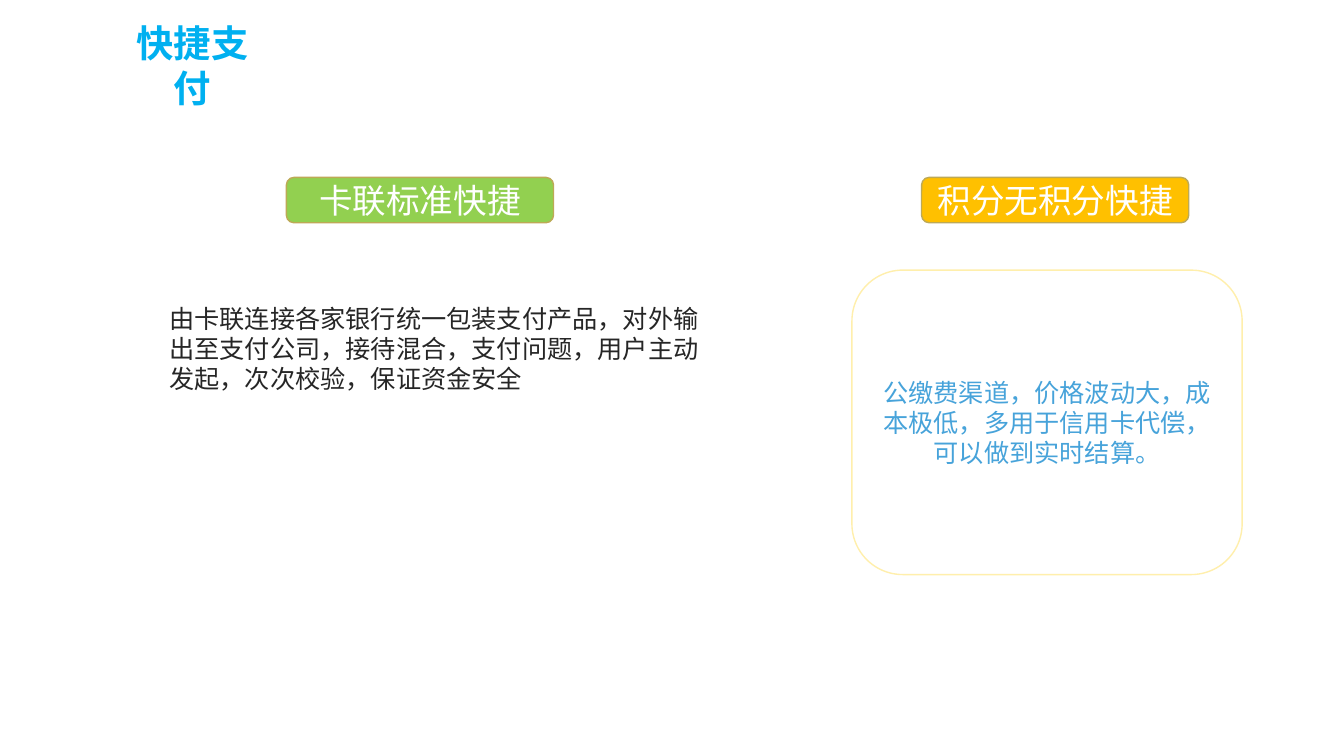
from dataclasses import dataclass

from pptx import Presentation
from pptx.dml.color import RGBColor
from pptx.enum.shapes import MSO_SHAPE
from pptx.enum.text import MSO_ANCHOR, MSO_AUTO_SIZE, PP_ALIGN
from pptx.slide import Slide
from pptx.text.text import TextFrame
from pptx.util import Inches, Pt


@dataclass(frozen=True)
class Theme:
    title_color: str = "00B0F0"
    badge_text: str = "FFFFFF"
    badge_line: str = "BDA956"
    standard_fill: str = "92D050"
    points_fill: str = "FFC000"
    card_fill: str = "FFFFFF"
    card_line: str = "FFEFAC"
    card_text: str = "47A3DA"
    body_text: str = "262626"
    heading_font: str = "Noto Sans CJK SC"
    body_font: str = "Arial"
    title_size: float = 26.7
    badge_size: float = 24
    body_size: float = 18
    line_width: float = 1


@dataclass(frozen=True)
class Area:
    """Left, top, width and height in inches."""
    left: float
    top: float
    width: float
    height: float

    def emu(self) -> tuple[int, int, int, int]:
        return (Inches(self.left), Inches(self.top),
                Inches(self.width), Inches(self.height))


@dataclass(frozen=True)
class TextStyle:
    font: str
    size: float
    color: str
    bold: bool = False
    align: PP_ALIGN = PP_ALIGN.CENTER


@dataclass(frozen=True)
class Panel:
    wording: str
    area: Area
    fill: str
    line: str
    style: TextStyle


THEME = Theme()
SLIDE_WIDTH, SLIDE_HEIGHT = 13.33, 7.5
BADGE_TOP, BADGE_WIDTH, BADGE_HEIGHT = 1.76, 2.65, 0.45
STANDARD_LEFT, POINTS_LEFT = 2.84, 9.14

TITLE_AREA = Area(1.35, 0.42, 1.48, 0.45)
TITLE_RIGHT_INSET = 0.36
TITLE_STYLE = TextStyle(THEME.heading_font, THEME.title_size, THEME.title_color, bold=True)
BADGE_STYLE = TextStyle(THEME.heading_font, THEME.badge_size, THEME.badge_text)
CARD_STYLE = TextStyle(THEME.body_font, THEME.body_size, THEME.card_text)
BODY_STYLE = TextStyle(THEME.body_font, THEME.body_size, THEME.body_text,
                       align=PP_ALIGN.LEFT)

PANELS = (
    Panel("卡联标准快捷", Area(STANDARD_LEFT, BADGE_TOP, BADGE_WIDTH, BADGE_HEIGHT),
          THEME.standard_fill, THEME.badge_line, BADGE_STYLE),
    Panel("积分无积分快捷", Area(POINTS_LEFT, BADGE_TOP, BADGE_WIDTH, BADGE_HEIGHT),
          THEME.points_fill, THEME.badge_line, BADGE_STYLE),
    Panel("公缴费渠道，价格波动大，成本极低，多用于信用卡代偿，可以做到实时结算。",
          Area(8.45, 2.68, 3.87, 3.02), THEME.card_fill, THEME.card_line, CARD_STYLE),
)
STANDARD_AREA = Area(1.58, 2.96, 5.66, 1.01)
STANDARD_WORDING = ("由卡联连接各家银行统一包装支付产品，对外输出至支付公司，"
                    "接待混合，支付问题，用户主动发起，次次校验，保证资金安全")


def write(frame: TextFrame, wording: str, style: TextStyle, anchor: MSO_ANCHOR) -> None:
    frame.word_wrap = True
    frame.vertical_anchor = anchor
    paragraph = frame.paragraphs[0]
    paragraph.alignment = style.align
    run = paragraph.add_run()
    run.text = wording
    run.font.name = style.font
    run.font.size = Pt(style.size)
    run.font.bold = style.bold
    run.font.color.rgb = RGBColor.from_string(style.color)


def add_title(slide: Slide) -> None:
    title = slide.shapes.title
    title.left, title.top, title.width, title.height = TITLE_AREA.emu()
    frame = title.text_frame
    frame.auto_size = MSO_AUTO_SIZE.NONE
    frame.margin_left = frame.margin_top = frame.margin_bottom = 0
    frame.margin_right = Inches(TITLE_RIGHT_INSET)
    write(frame, "快捷支付", TITLE_STYLE, MSO_ANCHOR.MIDDLE)


def add_panel(slide: Slide, panel: Panel) -> None:
    box = slide.shapes.add_shape(MSO_SHAPE.ROUNDED_RECTANGLE, *panel.area.emu())
    box.shadow.inherit = False
    box.fill.solid()
    box.fill.fore_color.rgb = RGBColor.from_string(panel.fill)
    box.line.color.rgb = RGBColor.from_string(panel.line)
    box.line.width = Pt(THEME.line_width)
    write(box.text_frame, panel.wording, panel.style, MSO_ANCHOR.MIDDLE)


def add_standard_description(slide: Slide) -> None:
    description = slide.shapes.add_textbox(*STANDARD_AREA.emu())
    write(description.text_frame, STANDARD_WORDING, BODY_STYLE, MSO_ANCHOR.TOP)


def main() -> None:
    presentation = Presentation()
    presentation.slide_width = Inches(SLIDE_WIDTH)
    presentation.slide_height = Inches(SLIDE_HEIGHT)
    title_only = presentation.slide_layouts[5]
    slide = presentation.slides.add_slide(title_only)
    add_title(slide)
    for panel in PANELS:
        add_panel(slide, panel)
    add_standard_description(slide)
    presentation.save("out.pptx")


if __name__ == "__main__":
    main()
